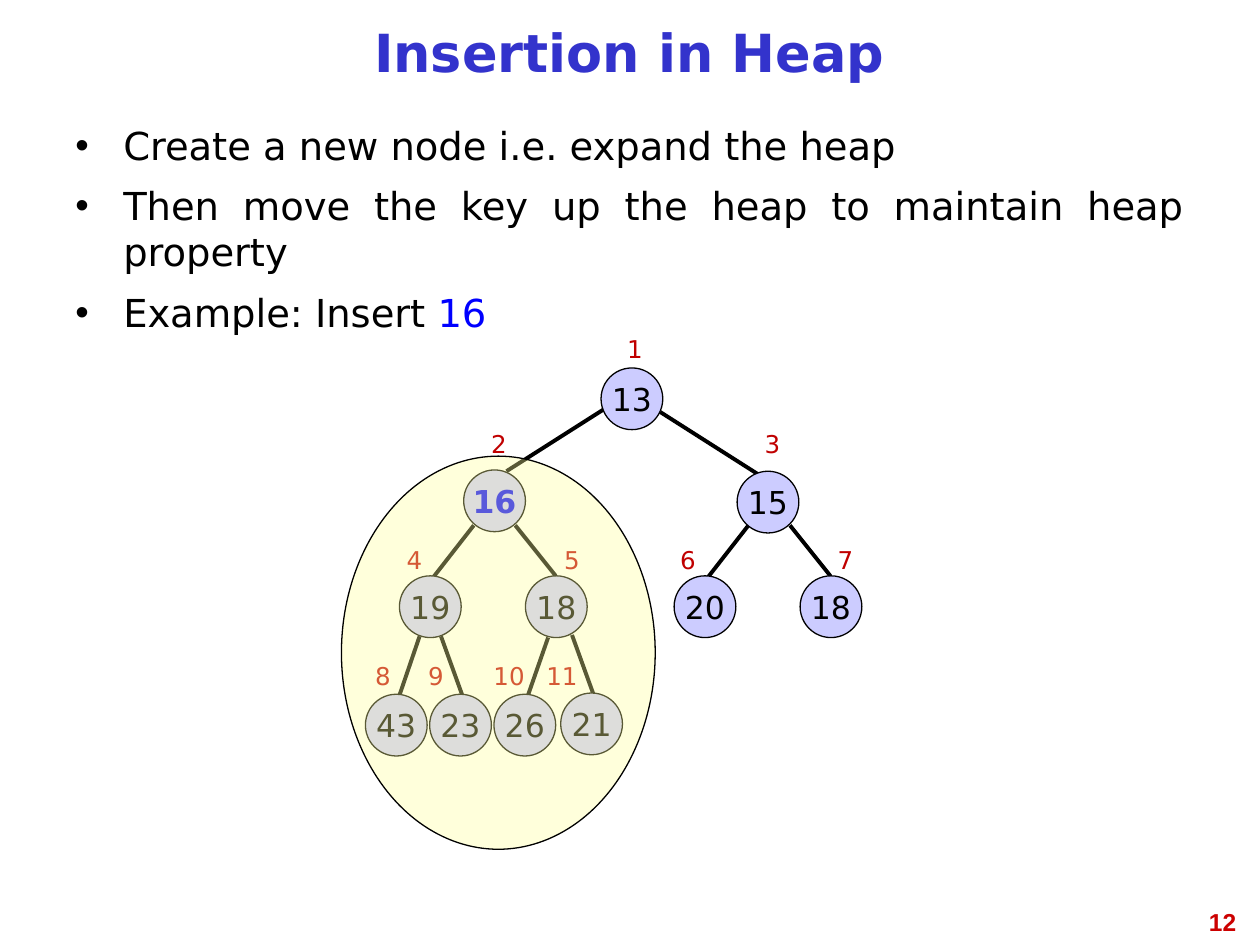
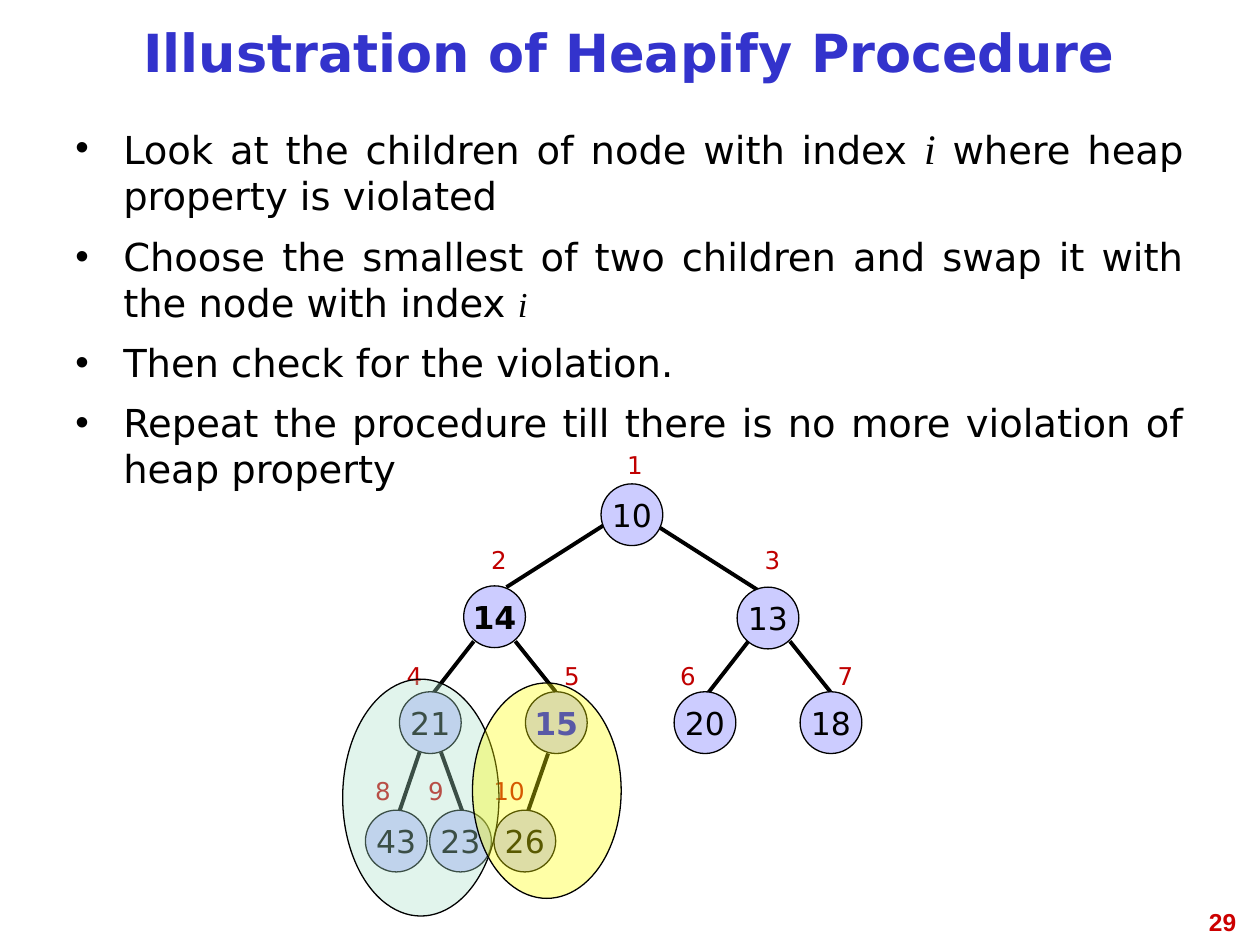
import pptx
import pptx.dml.color
import pptx.enum.shapes
import pptx.enum.text
import pptx.oxml.ns
import pptx.util
from lxml import etree

ALIGN = pptx.enum.text.PP_ALIGN
ANCHOR = pptx.enum.text.MSO_ANCHOR
SHAPE = pptx.enum.shapes.MSO_SHAPE
CONNECTOR = pptx.enum.shapes.MSO_CONNECTOR

PX = 9144  # 100 px to the inch
NODE = 49
LABEL = 42
LOWER = 92  # how far the second tree sits below the first

# Heap layout by index: node corner, label corner, edge from the parent
HEAP = {
    1: ((477, 292), (483, 258), None),
    2: ((368, 373), (375, 333), (479, 325, 402, 374)),
    3: ((585, 374), (592, 333), (524, 327, 601, 376)),
    4: ((317, 457), (308, 425), (376, 417, 344, 458)),
    5: ((417, 457), (433, 425), (409, 417, 441, 457)),
    6: ((535, 457), (525, 425), (594, 417, 562, 458)),
    7: ((635, 457), (650, 425), (627, 417, 659, 457)),
    8: ((290, 551), (283, 517), (333, 505, 317, 552)),
    9: ((341, 551), (325, 517), (350, 505, 367, 552)),
    10: ((392, 551), (383, 517), (435, 506, 419, 552)),
    11: ((445, 550), (425, 517), (454, 504, 471, 551)),
}


def rgb(value):
    return pptx.dml.color.RGBColor.from_string(value)


def px(*values):
    return [pptx.util.Emu(v * PX) for v in values]


def sub(parent, tag, **attrs):
    return etree.SubElement(parent, pptx.oxml.ns.qn(tag), attrs)


class Deck:
    SANS, SERIF, ARIAL = "DejaVu Sans", "Times New Roman", "Arial"
    BLACK, BLUE, TITLE = "000000", "0000FF", "3333CC"
    NODE_FILL, INDEX, PAGE = "CCCCFF", "C00000", "CC0000"

    def __init__(self):
        self.prs = pptx.Presentation()
        self.prs.slide_width, self.prs.slide_height = px(1000, 750)

    def font(self, font, size, color=BLACK, name=SANS, bold=False, italic=False):
        font.size, font.name = pptx.util.Pt(size), name
        font.bold, font.italic = bold, italic
        font.color.rgb = rgb(color)

    def slide(self, title, page):
        self.s = self.prs.slides.add_slide(self.prs.slide_layouts[6])
        self.text((758, 715, 233, 52), page, 14, self.PAGE, ALIGN.RIGHT,
                  name=self.ARIAL, bold=True)
        self.text((50, 8, 899, 75), title, 30, self.TITLE,
                  anchor=ANCHOR.MIDDLE, spacing=0.81, bold=True)

    def text(self, box, text, size, color, align=ALIGN.CENTER,
             anchor=ANCHOR.TOP, spacing=None, margin=10, **style):
        tf = self.s.shapes.add_textbox(*px(*box)).text_frame
        tf.word_wrap, tf.vertical_anchor = True, anchor
        tf.margin_left, tf.margin_right = px(margin, margin)
        p = tf.paragraphs[0]
        p.text, p.alignment, p.line_spacing = text, align, spacing
        self.font(p.font, size, color, **style)

    def bullets(self, height, items):
        """Each item is a list of runs: plain text, or text with its style."""
        tf = self.s.shapes.add_textbox(*px(50, 92, 899, height)).text_frame
        tf.word_wrap = True
        for i, runs in enumerate(items):
            p = tf.add_paragraph() if i else tf.paragraphs[0]
            p.alignment, p.space_before = ALIGN.JUSTIFY, pptx.util.Pt(8)
            for run in runs:
                text, style = (run, {}) if isinstance(run, str) else run
                r = p.add_run()
                r.text = text
                self.font(r.font, **{"size": 22, **style})
            self.bullet_mark(p)

    def bullet_mark(self, p):
        pPr = p._p.get_or_add_pPr()
        pPr.set("marL", str(38 * PX))
        pPr.set("indent", str(-38 * PX))
        sub(sub(pPr, "a:buClr"), "a:srgbClr", val=self.BLACK)
        sub(pPr, "a:buFont", typeface=self.ARIAL)
        sub(pPr, "a:buChar", char="•")

    def ellipse(self, box, fill, opacity=None):
        sp = self.s.shapes.add_shape(SHAPE.OVAL, *px(*box))
        sp.shadow.inherit = False
        sp.fill.solid()
        sp.fill.fore_color.rgb = rgb(fill)
        sp.line.color.rgb = rgb(self.BLACK)
        sp.line.width = pptx.util.Pt(0.75)
        if opacity:
            color = sp._element.spPr.find(".//" + pptx.oxml.ns.qn("a:srgbClr"))
            sub(color, "a:alpha", val=str(opacity * 1000))
        return sp

    def node(self, x, y, key, **style):
        tf = self.ellipse((x, y, NODE, NODE), self.NODE_FILL).text_frame
        tf.word_wrap, tf.vertical_anchor = False, ANCHOR.MIDDLE
        p = tf.paragraphs[0]
        p.text, p.alignment = str(key), ALIGN.CENTER
        self.font(p.font, 18, **style)

    def edge(self, x1, y1, x2, y2):
        line = self.s.shapes.add_connector(CONNECTOR.STRAIGHT, *px(x1, y1, x2, y2))
        line.line.color.rgb = rgb(self.BLACK)
        line.line.width = pptx.util.Pt(2.25)
        sub(line._element.spPr, "a:effectLst")

    def heap(self, keys, dy=0, styles=None):
        """Draw the keys in index order; styles maps an index to its font."""
        cells = [(i, key, *HEAP[i]) for i, key in enumerate(keys, 1)]
        for *_, edge in cells[1:]:
            x1, y1, x2, y2 = edge
            self.edge(x1, y1 + dy, x2, y2 + dy)
        for i, key, (x, y), (label_x, label_y), _ in cells:
            self.node(x, y + dy, key, **(styles or {}).get(i, {}))
            self.text((label_x, label_y + dy, LABEL, LABEL), str(i), 14, self.INDEX,
                      anchor=ANCHOR.MIDDLE, spacing=0.81, margin=0)


def main():
    d = Deck()
    moved = {"color": d.BLUE, "bold": True}

    # Insertion
    d.slide("Insertion in Heap", "12")
    d.bullets(175, [
        ["Create a new node i.e. expand the heap"],
        ["Then move the key up the heap to maintain heap property"],
        ["Example: Insert ", ("16", {"color": d.BLUE})],
    ])
    d.heap([13, 16, 15, 19, 18, 20, 18, 43, 23, 26, 21], styles={2: moved})
    d.ellipse((271, 362, 249, 312), "FFFF99", 35)

    # Heapify
    d.slide("Illustration of Heapify Procedure", "29")
    index = {"name": d.SERIF, "italic": True}
    d.bullets(316, [
        ["Look at the children of node with index ", ("i", {"size": 24, **index}),
         " where heap property is violated"],
        ["Choose the smallest of two children and swap it with the node with index ",
         ("i", {"size": 20, **index})],
        ["Then check for the violation."],
        ["Repeat the procedure till there is no more violation of heap property"],
    ])
    d.heap([10, 14, 13, 21, 15, 20, 18, 43, 23, 26], LOWER,
           {2: {"bold": True}, 5: moved})
    d.ellipse((272, 539, 124, 188), "AAE2CA", 35)
    d.ellipse((375, 542, 118, 171), "FFFF00", 35)

    d.prs.save("out.pptx")


if __name__ == "__main__":
    main()
